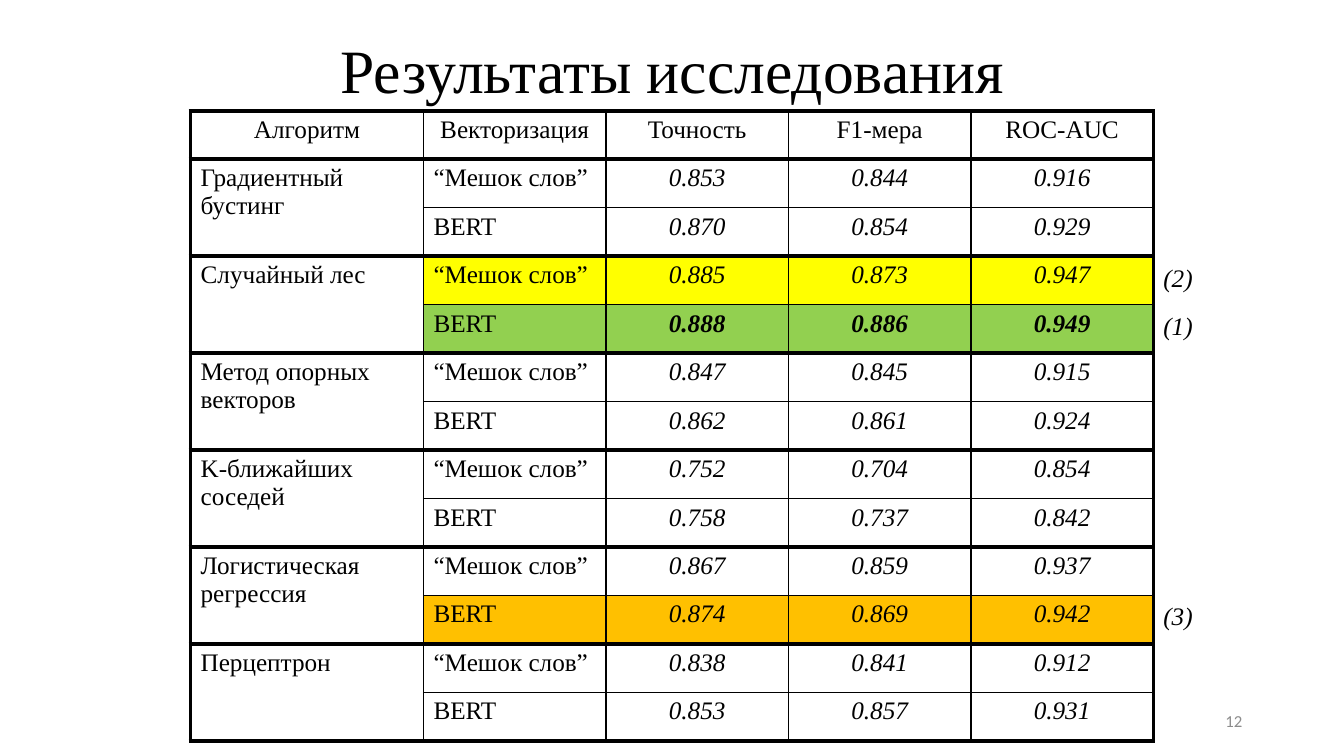
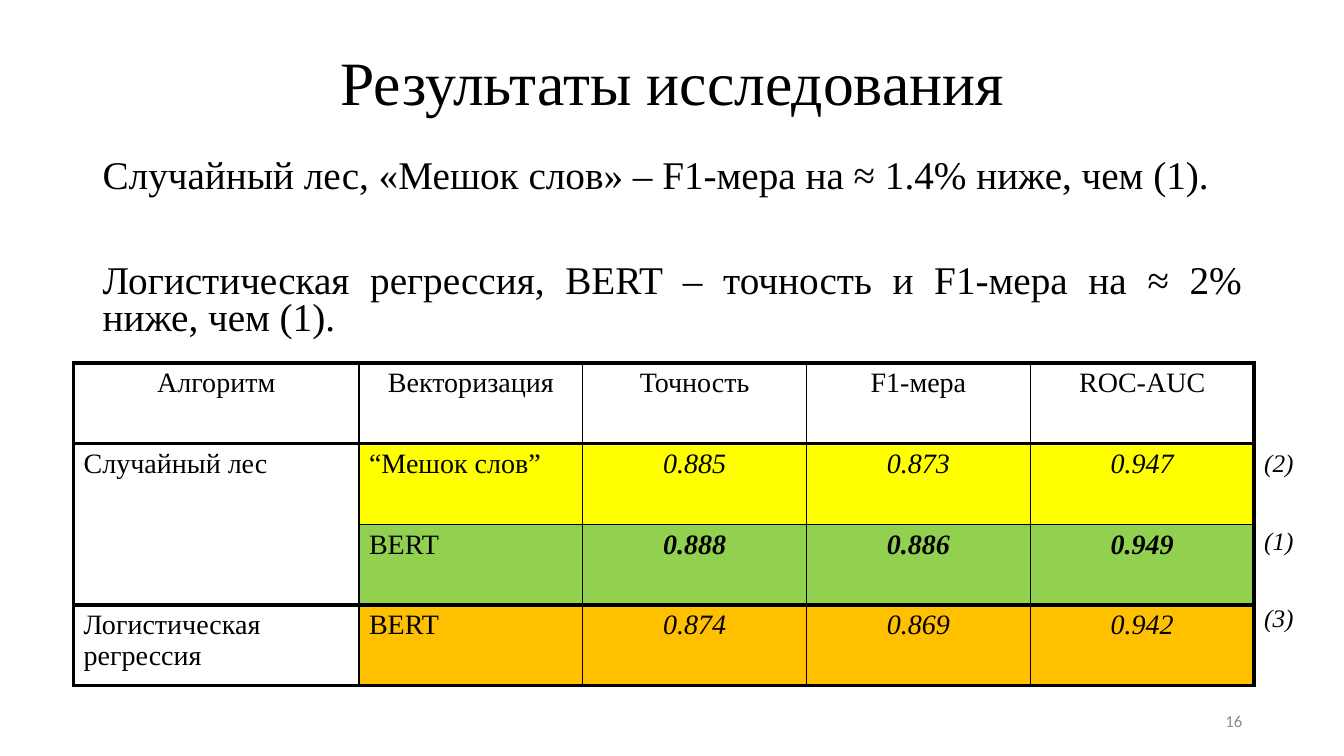
import pptx
import pptx.util
import pptx.dml.color
import pptx.enum.text
import pptx.oxml.ns
import lxml.etree

Inches, Pt = pptx.util.Inches, pptx.util.Pt
ALIGN = pptx.enum.text.PP_ALIGN
MIDDLE = pptx.enum.text.MSO_ANCHOR.MIDDLE

# Content
TITLE = "Результаты исследования"
HEADER = ("Алгоритм", "Векторизация", "Точность", "F1-мера", "ROC-AUC")
BAG, BERT = "“Мешок слов”", "BERT"
# algorithm: rows of (vectorization, accuracy, F1, ROC-AUC, rank or None)
RESULTS = {
    "Градиентный бустинг": [(BAG, "0.853", "0.844", "0.916", None),
                            (BERT, "0.870", "0.854", "0.929", None)],
    "Случайный лес": [(BAG, "0.885", "0.873", "0.947", 2),
                      (BERT, "0.888", "0.886", "0.949", 1)],
    "Метод опорных векторов": [(BAG, "0.847", "0.845", "0.915", None),
                               (BERT, "0.862", "0.861", "0.924", None)],
    "K-ближайших соседей": [(BAG, "0.752", "0.704", "0.854", None),
                            (BERT, "0.758", "0.737", "0.842", None)],
    "Логистическая регрессия": [(BAG, "0.867", "0.859", "0.937", None),
                                (BERT, "0.874", "0.869", "0.942", 3)],
    "Перцептрон": [(BAG, "0.838", "0.841", "0.912", None),
                   (BERT, "0.853", "0.857", "0.931", None)],
}
CONCLUSIONS = (
    "Случайный лес, «Мешок слов» – F1-мера на ≈ 1.4% ниже, чем (1).",
    "Логистическая регрессия, BERT – точность и F1-мера на ≈ 2% ниже, чем (1).",
)

# Shared style
SERIF, SANS = "Times New Roman", "Calibri"
BLACK, GRAY = "000000", "8C8C8C"
RANK_FILLS = {1: "92D050", 2: "FFFF00", 3: "FFC000"}
THIN, THICK = 1, 3
MARGIN, CONTENT_W = 0.92, 11.5


def rgb(color):
    return pptx.dml.color.RGBColor.from_string(color)


def style(p, size, font=SERIF, color=BLACK, align=ALIGN.LEFT, italic=False, bold=False):
    p.alignment = align
    for r in p.runs:
        r.font.name, r.font.size = font, Pt(size)
        r.font.color.rgb = rgb(color)
        r.font.italic, r.font.bold = italic, bold


def add_text(slide, text, left, top, width, height, size, anchor=None, **options):
    sp = slide.shapes.add_textbox(Inches(left), Inches(top), Inches(width), Inches(height))
    tf = sp.text_frame
    tf.word_wrap = True
    tf.vertical_anchor = anchor
    tf.text = text
    for p in tf.paragraphs:
        style(p, size, **options)
    return tf


def add_slide(prs, title_top, number):
    slide = prs.slides.add_slide(prs.slide_layouts[6])
    tf = add_text(slide, TITLE, MARGIN, title_top, CONTENT_W, 1.45, 44,
                  anchor=MIDDLE, align=ALIGN.CENTER)
    tf.paragraphs[0].line_spacing = 0.9
    add_text(slide, str(number), 9.42, 6.95, 3, 0.4, 12, anchor=MIDDLE,
             font=SANS, color=GRAY, align=ALIGN.RIGHT)
    return slide


def set_borders(cell, left, right, top, bottom):
    tcPr = cell._tc.get_or_add_tcPr()
    qn = pptx.oxml.ns.qn
    for side, width in zip("LRTB", (left, right, top, bottom)):
        ln = lxml.etree.SubElement(tcPr, qn(f"a:ln{side}"), w=str(Pt(width)))
        fill = lxml.etree.SubElement(ln, qn("a:solidFill"))
        lxml.etree.SubElement(fill, qn("a:srgbClr"), val=BLACK)


def fill_row(table, row, values, size, rank=None, first=True, last=True):
    """Write one row; first and last tell whether it opens or closes its group."""
    for col, value in enumerate(values):
        cell = table.cell(row, col)
        cell.text = value
        is_number = row > 0 and col > 1
        style(cell.text_frame.paragraphs[0], size,
              align=ALIGN.CENTER if row == 0 or is_number else ALIGN.LEFT,
              italic=is_number, bold=is_number and rank == 1)
        set_borders(cell,
                    left=THICK if col == 0 else THIN,
                    right=THICK if col == len(values) - 1 else THIN,
                    top=THICK if first else THIN,
                    bottom=THICK if last or col == 0 else THIN)
        if rank and col > 0:
            cell.fill.solid()
            cell.fill.fore_color.rgb = rgb(RANK_FILLS[rank])
        else:
            cell.fill.background()


def add_results(slide, results, left, top, height, columns, size, label_top, label_step):
    """Draw the table, with the ranks of the best rows to its right."""
    count = 1 + sum(len(rows) for rows in results.values())
    width = sum(columns)
    table = slide.shapes.add_table(count, len(columns), Inches(left), Inches(top),
                                   Inches(width), Inches(height)).table
    table.first_row = table.horz_banding = False
    for column, column_width in zip(table.columns, columns):
        column.width = Inches(column_width)

    fill_row(table, 0, HEADER, size)
    row = 1
    for algorithm, rows in results.items():
        start = row
        for i, (*values, rank) in enumerate(rows):
            name = algorithm if i == 0 else ""
            fill_row(table, row, [name, *values], size, rank, i == 0, i == len(rows) - 1)
            if rank:
                add_text(slide, f"({rank})", left + width, label_top + (row - 1) * label_step,
                         0.56, 0.4, 18, italic=True)
            row += 1
        if len(rows) > 1:
            table.cell(start, 0).merge(table.cell(row - 1, 0))


def main():
    prs = pptx.Presentation()
    prs.slide_width, prs.slide_height = Inches(13.33), Inches(7.5)

    # All results
    slide = add_slide(prs, 0, 12)
    add_results(slide, RESULTS, 1.89, 1.1, 6.25, [2.31] + [1.81] * 4, 18,
                label_top=1.59, label_step=0.48)

    # Conclusions and the ranked results
    slide = add_slide(prs, 0.12, 16)
    best = {}
    for algorithm, rows in RESULTS.items():
        ranked = [values for values in rows if values[-1]]
        if ranked:
            best[algorithm] = ranked
    add_results(slide, best, 0.73, 3.6, 3.2, [2.83] + [2.22] * 4, 20,
                label_top=4.39, label_step=0.77)
    tf = add_text(slide, "\n".join(CONCLUSIONS), MARGIN, 1.53, CONTENT_W, 2.03, 28,
                  align=ALIGN.JUSTIFY)
    for p, space in zip(tf.paragraphs, (10, 48)):
        p.line_spacing = 0.8
        p.space_before = Pt(space)

    prs.save("out.pptx")


if __name__ == "__main__":
    main()
